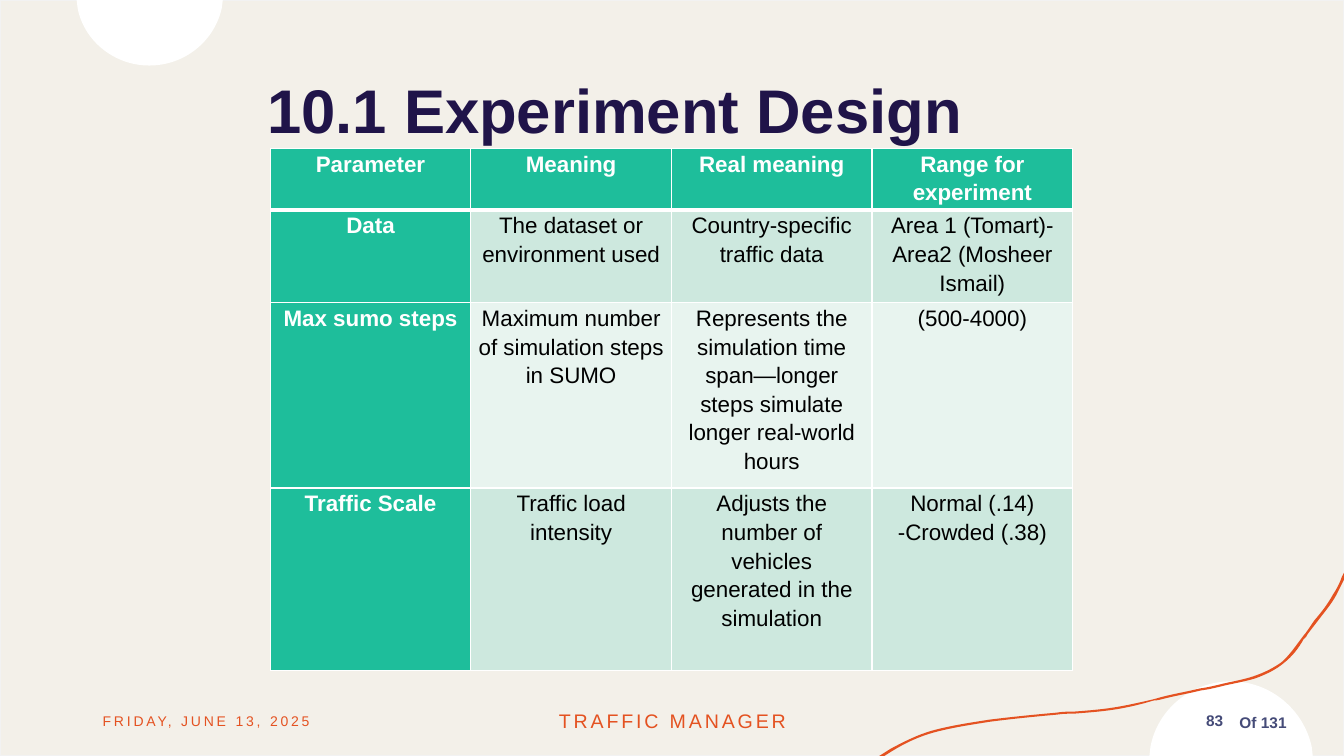
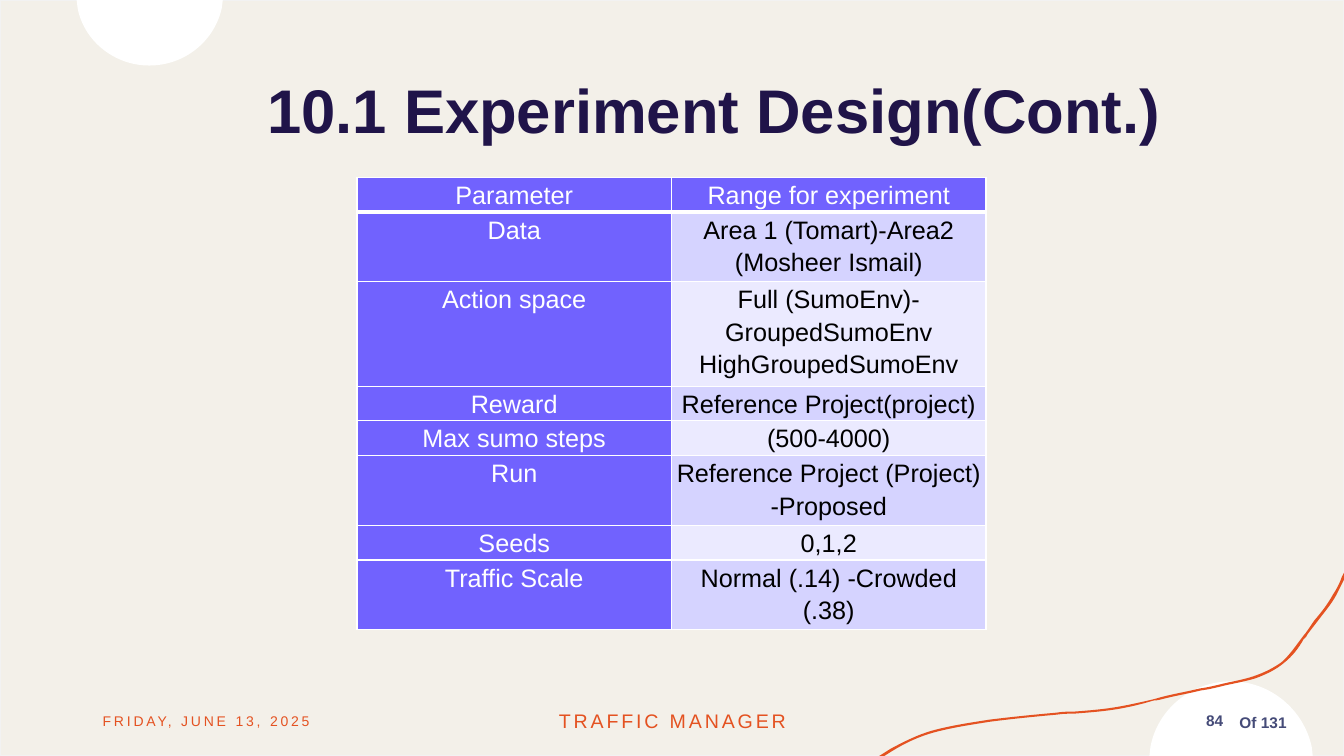
from lxml import etree
from pptx import Presentation
from pptx import util as u
from pptx.dml.color import RGBColor
from pptx.enum import shapes, text
from pptx.oxml import ns

FONT = "Arial"
CREAM, PALE, WHITE, BLACK = "F3F0E9", "F2F2F2", "FFFFFF", "000000"
ORANGE, NAVY, SLATE = "E45221", "201449", "454B78"
LEFT, CENTER, RIGHT = text.PP_ALIGN.LEFT, text.PP_ALIGN.CENTER, text.PP_ALIGN.RIGHT
TOTAL_PAGES = 131
PAGE_SIZE = (13.33, 7.5)

SLIDES = [
    dict(
        page=83, title="10.1 Experiment Design", title_width=8.1,
        left=2.68, top=1.47, column=1.99, height=5.25, row_heights=[0, 0, 0, 1.81],
        inset=0.07, size=16, bold_heads=True,
        head_fill="1EBE9B", bands=("CDE8DE", "E8F4EF"),
        rows=[
            ("Parameter", "Meaning", "Real meaning", "Range for experiment"),
            ("Data", "The dataset or environment used", "Country-specific traffic data",
             "Area 1 (Tomart)-Area2 (Mosheer Ismail)"),
            ("Max sumo steps", "Maximum number of simulation steps in SUMO",
             "Represents the simulation time span—longer steps simulate longer real-world hours",
             "(500-4000)"),
            ("Traffic Scale", "Traffic load intensity",
             "Adjusts the number of vehicles generated in the simulation",
             "Normal (.14) -Crowded (.38)"),
        ],
    ),
    dict(
        page=84, title="10.1 Experiment Design(Cont.)", title_width=9.86,
        left=3.54, top=1.76, column=3.12, height=4.32,
        row_heights=[0.27, 0.19, 0.37, 0.28, 0.3, 0.3, 0.24, 0.42],
        inset=0.05, size=18, bold_heads=False,
        head_fill="7162FE", bands=("D5D3FF", "EBEAFF"),
        rows=[
            ("Parameter", "Range for experiment"),
            ("Data", "Area 1 (Tomart)-Area2 (Mosheer Ismail)"),
            ("Action space", "Full (SumoEnv)- GroupedSumoEnv HighGroupedSumoEnv"),
            ("Reward", "Reference Project(project)"),
            ("Max sumo steps", "(500-4000)"),
            ("Run", "Reference Project (Project) -Proposed"),
            ("Seeds", "0,1,2"),
            ("Traffic Scale", "Normal (.14) -Crowded (.38)"),
        ],
    ),
]

TOP_DISC = [
    (1.48, 0.65), (1.13, 0.65, 0.83, 0.4, 0.77, 0.08), (0.76, 0), (2.21, 0),
    (2.2, 0.08), (2.13, 0.4, 1.84, 0.65, 1.48, 0.65),
]
PAGE_DISC = [
    (12.21, 6.76), (12.6, 6.76, 12.93, 7.04, 13.01, 7.41), (13.02, 7.5), (11.4, 7.5),
    (11.41, 7.41), (11.48, 7.04, 11.81, 6.76, 12.21, 6.76),
]
ROAD = [
    (13.33, 5.68), (13.33, 5.75), (13.25, 5.91),
    (13.2, 6, 13.13, 6.08, 13.07, 6.16), (13.04, 6.2, 13, 6.25, 12.97, 6.29),
    (12.96, 6.31, 12.95, 6.33, 12.93, 6.34), (12.88, 6.43, 12.82, 6.51, 12.73, 6.58),
    (12.66, 6.64, 12.56, 6.69, 12.45, 6.73), (12.35, 6.76, 12.24, 6.78, 12.15, 6.8),
    (12.07, 6.82, 11.99, 6.84, 11.91, 6.85), (11.79, 6.88, 11.67, 6.9, 11.55, 6.93),
    (11.51, 6.94, 11.48, 6.95, 11.44, 6.95), (11.31, 6.99, 11.18, 7.02, 11.05, 7.04),
    (10.92, 7.06, 10.78, 7.07, 10.65, 7.08), (10.6, 7.08, 10.54, 7.08, 10.48, 7.09),
    (10.26, 7.11, 10.05, 7.13, 9.82, 7.16), (9.63, 7.19, 9.43, 7.22, 9.25, 7.27),
    (9.11, 7.31, 8.98, 7.37, 8.85, 7.45), (8.77, 7.5), (8.72, 7.5), (8.83, 7.43),
    (8.96, 7.36, 9.1, 7.29, 9.24, 7.25), (9.42, 7.2, 9.62, 7.17, 9.81, 7.14),
    (10.05, 7.11, 10.26, 7.09, 10.48, 7.07), (10.54, 7.06, 10.59, 7.06, 10.65, 7.06),
    (10.78, 7.05, 10.91, 7.04, 11.04, 7.02), (11.17, 7, 11.3, 6.97, 11.43, 6.94),
    (11.47, 6.93, 11.5, 6.92, 11.54, 6.91), (11.66, 6.88, 11.78, 6.86, 11.9, 6.83),
    (11.98, 6.82, 12.06, 6.8, 12.14, 6.78), (12.23, 6.76, 12.34, 6.74, 12.43, 6.71),
    (12.55, 6.67, 12.64, 6.62, 12.71, 6.57), (12.79, 6.5, 12.85, 6.41, 12.91, 6.33),
    (12.92, 6.32, 12.93, 6.3, 12.95, 6.28), (12.98, 6.24, 13.01, 6.19, 13.04, 6.15),
    (13.11, 6.07, 13.17, 5.99, 13.22, 5.9), (13.26, 5.84, 13.29, 5.78, 13.31, 5.72),
]
DECOR = [(TOP_DISC, WHITE), (PAGE_DISC, WHITE), (ROAD, ORANGE)]


def rgb(color):
    return RGBColor.from_string(color)


def apply(target, **values):
    for name, value in values.items():
        setattr(target, name, value)


def paint(shape, color):
    shape.shadow.inherit = False
    shape.fill.solid()
    shape.fill.fore_color.rgb = rgb(color)
    shape.line.fill.background()


def write(frame, words, size, color, align, bold=False, tracking=0, **spacing):
    paragraph = frame.paragraphs[0]
    apply(paragraph, alignment=align, **spacing)
    run = paragraph.add_run()
    run.text = words
    apply(run.font, name=FONT, size=u.Pt(size), bold=bold)
    run.font.color.rgb = rgb(color)
    if tracking:
        run.font._element.set("spc", str(tracking * 100))


def add_label(slide, at, *words_and_style, **extra):
    label = slide.shapes.add_textbox(*map(u.Inches, at))
    apply(label.text_frame, word_wrap=True, vertical_anchor=text.MSO_ANCHOR.MIDDLE)
    write(label.text_frame, *words_and_style, **extra)
    return label


def add_outline(slide, outline, color):
    corners = [(u.Inches(segment[-2]), u.Inches(segment[-1])) for segment in outline]
    builder = slide.shapes.build_freeform(*corners[0])
    builder.add_line_segments(corners[1:])
    shape = builder.convert_to_shape()
    steps = list(shape._element.iter(ns.qn("a:lnTo")))
    for step, segment in zip(steps, outline[1:]):
        if len(segment) == 6:
            curve = etree.Element(ns.qn("a:cubicBezTo"))
            for x, y in zip(segment[::2], segment[1::2]):
                etree.SubElement(curve, ns.qn("a:pt"), x=str(u.Inches(x) - shape.left),
                                 y=str(u.Inches(y) - shape.top))
            step.getparent().replace(step, curve)
    paint(shape, color)
    return shape


def add_borders(cell, widths):
    properties = cell._tc.get_or_add_tcPr()
    for side, width in widths.items():
        line = etree.SubElement(properties, ns.qn(f"a:ln{side}"), w=str(u.Pt(width)))
        fill = etree.SubElement(line, ns.qn("a:solidFill"))
        etree.SubElement(fill, ns.qn("a:srgbClr"), val=WHITE)


def add_parameters(slide, content):
    rows, columns = content["rows"], len(content["rows"][0])
    height = u.Inches(content["height"])
    holder = slide.shapes.add_table(
        len(rows), columns, u.Inches(content["left"]), u.Inches(content["top"]),
        u.Inches(columns * content["column"]), height)
    table = holder.table
    for column in table.columns:
        column.width = u.Inches(content["column"])
    inset = u.Inches(content["inset"])
    for r, (values, row_height) in enumerate(zip(rows, content["row_heights"])):
        table.rows[r].height = u.Inches(row_height)
        for c, value in enumerate(values):
            cell = table.cell(r, c)
            is_head = r == 0 or c == 0
            apply(cell, margin_left=inset, margin_right=inset, margin_top=0, margin_bottom=0)
            add_borders(cell, dict(L=1, R=1, T=3 if r == 1 else 1, B=3 if r == 0 else 1))
            cell.fill.solid()
            cell.fill.fore_color.rgb = rgb(
                content["head_fill"] if is_head else content["bands"][(r - 1) % 2])
            write(cell.text_frame, value, content["size"], WHITE if is_head else BLACK, CENTER,
                  bold=is_head and content["bold_heads"],
                  line_spacing=1.15, space_after=u.Pt(8))
    holder.height = height


def share_decor(slide, layout):
    backdrop = slide.shapes.add_shape(
        shapes.MSO_SHAPE.RECTANGLE, 0, 0, *map(u.Inches, PAGE_SIZE))
    paint(backdrop, CREAM)
    backdrop.line.color.rgb = rgb(PALE)
    backdrop.line.width = u.Pt(1)
    decor = [backdrop] + [add_outline(slide, *part) for part in DECOR]
    decor.append(add_label(slide, (12.09, 6.97, 0.77, 0.4), f"Of {TOTAL_PAGES}",
                           11, SLATE, RIGHT, bold=True))
    for number, part in enumerate(decor, 100):
        part._element.nvSpPr.cNvPr.set("id", str(number))
        layout.shapes._spTree.append(part._element)


def add_frame(slide, content):
    title = slide.shapes.title
    apply(title, left=u.Inches(2.55), top=u.Inches(0.41),
          width=u.Inches(content["title_width"]), height=u.Inches(1.35))
    apply(title.text_frame, word_wrap=True, auto_size=text.MSO_AUTO_SIZE.NONE,
          vertical_anchor=text.MSO_ANCHOR.MIDDLE)
    write(title.text_frame, content["title"], 44, NAVY, LEFT, bold=True)
    add_label(slide, (0.92, 6.95, 3, 0.4), "FRIDAY, JUNE 13, 2025", 10, ORANGE, LEFT, tracking=2)
    add_label(slide, (4.42, 6.95, 4.5, 0.4), "TRAFFIC MANAGER", 14, ORANGE, CENTER, tracking=2)
    add_label(slide, (10.65, 6.95, 1.58, 0.4), str(content["page"]), 11, SLATE, RIGHT, bold=True)


def main():
    deck = Presentation()
    apply(deck, slide_width=u.Inches(PAGE_SIZE[0]), slide_height=u.Inches(PAGE_SIZE[1]))
    layout = deck.slide_layouts[5]
    for content in SLIDES:
        slide = deck.slides.add_slide(layout)
        if content is SLIDES[0]:
            share_decor(slide, layout)
        add_frame(slide, content)
        add_parameters(slide, content)
    deck.save("out.pptx")


if __name__ == "__main__":
    main()
